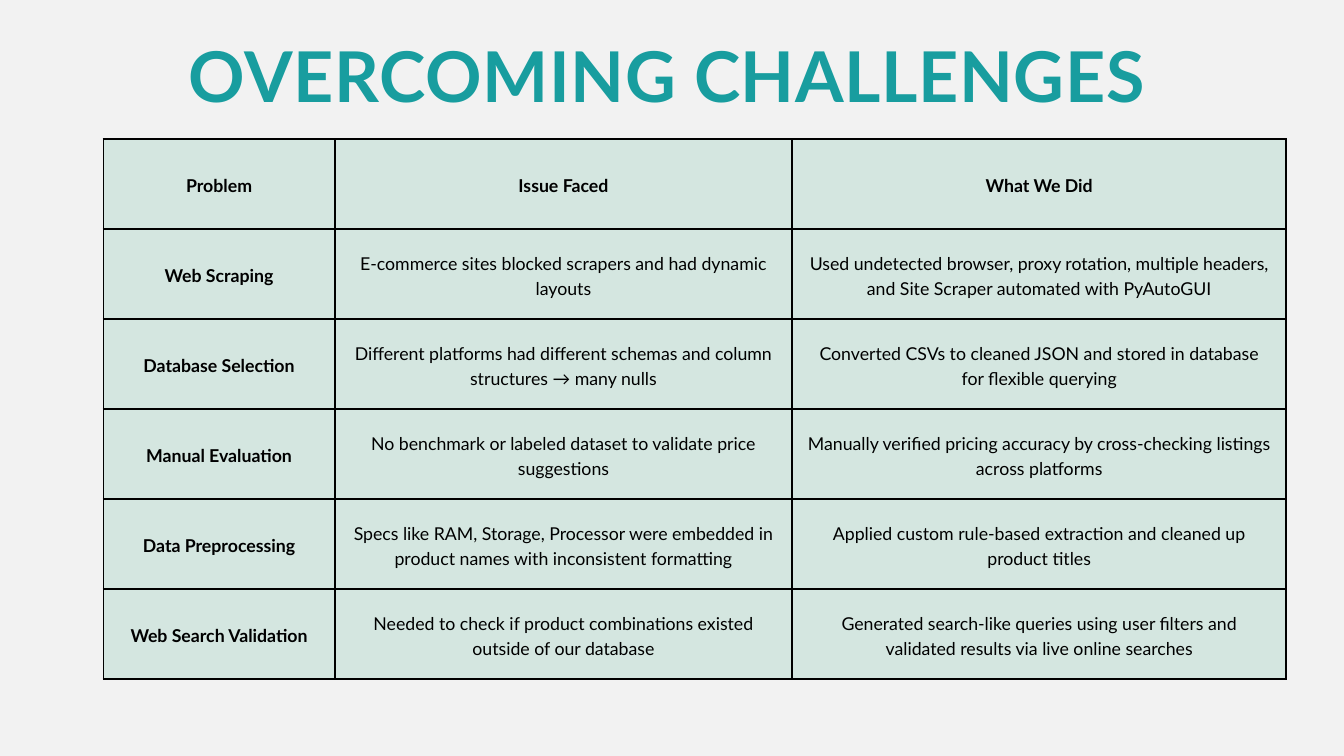
"""Build the "Overcoming Challenges" slide: a title above a table of problems."""
from dataclasses import dataclass

from lxml import etree
from pptx import Presentation
from pptx import util as u
from pptx.dml.color import RGBColor
from pptx.enum import text
from pptx.oxml import ns

TITLE = "OVERCOMING CHALLENGES"
HEADER = ("Problem", "Issue Faced", "What We Did")
CHALLENGES = [
    ("Web Scraping",
     "E-commerce sites blocked scrapers and had dynamic layouts",
     "Used undetected browser, proxy rotation, multiple headers, "
     "and Site Scraper automated with PyAutoGUI"),
    ("Database Selection",
     "Different platforms had different schemas and column structures → many nulls",
     "Converted CSVs to cleaned JSON and stored in database for flexible querying"),
    ("Manual Evaluation",
     "No benchmark or labeled dataset to validate price suggestions",
     "Manually verified pricing accuracy by cross-checking listings across platforms"),
    ("Data Preprocessing",
     "Specs like RAM, Storage, Processor were embedded in product names "
     "with inconsistent formatting",
     "Applied custom rule-based extraction and cleaned up product titles"),
    ("Web Search Validation",
     "Needed to check if product combinations existed outside of our database",
     "Generated search-like queries using user filters and validated results "
     "via live online searches"),
]

SLIDE_SIZE = (20, 11.25)
TITLE_BOX = (2.81, 0.56, 14.38, 1.19)
TABLE_ORIGIN = (1.54, 2.07)
COLUMNS = (3.44, 6.81, 7.35)
ROW_HEIGHT = 1.34
CELL_INSET = 0.21


@dataclass(frozen=True)
class Theme:
    font: str = "Lato"
    background: str = "F2F2F2"
    accent: str = "189D9F"
    cell: str = "D4E6E0"
    ink: str = "000000"
    title_size: float = 75
    title_leading: float = 84.7
    body_size: float = 19
    body_leading: float = 26.6
    border: float = 2.25


THEME = Theme()


def paint(fill, color):
    fill.solid()
    fill.fore_color.rgb = RGBColor.from_string(color)


def write(tf, content, *, size=THEME.body_size, leading=THEME.body_leading,
          color=THEME.ink, bold=False, align=text.PP_ALIGN.CENTER, tracking=0):
    p = tf.paragraphs[0]
    p.alignment = align
    p.line_spacing = u.Pt(leading)
    r = p.add_run()
    r.text = content
    r.font.name = THEME.font
    r.font.size = u.Pt(size)
    r.font.bold = bold
    r.font.color.rgb = RGBColor.from_string(color)
    if tracking:
        r.font._element.set("spc", str(round(tracking * 100)))


def set_insets(box, inset):
    box.margin_left = box.margin_top = box.margin_right = box.margin_bottom = u.Inches(inset)


def add_borders(cell):
    tc_pr = cell._tc.get_or_add_tcPr()
    for side in ("lnL", "lnR", "lnT", "lnB"):
        ln = etree.SubElement(tc_pr, ns.qn(f"a:{side}"), w=str(u.Pt(THEME.border)))
        solid = etree.SubElement(ln, ns.qn("a:solidFill"))
        etree.SubElement(solid, ns.qn("a:srgbClr"), val=THEME.ink)


def add_title(s):
    sp = s.shapes.title
    sp.left, sp.top, sp.width, sp.height = map(u.Inches, TITLE_BOX)
    tf = sp.text_frame
    set_insets(tf, 0)
    tf.word_wrap = True
    tf.auto_size = text.MSO_AUTO_SIZE.SHAPE_TO_FIT_TEXT
    tf.vertical_anchor = text.MSO_ANCHOR.TOP
    write(tf, TITLE, size=THEME.title_size, leading=THEME.title_leading,
          color=THEME.accent, bold=True, align=text.PP_ALIGN.LEFT, tracking=0.7)


def add_challenges(s):
    rows = [HEADER, *CHALLENGES]
    size = (sum(COLUMNS), ROW_HEIGHT * len(rows))
    table = s.shapes.add_table(len(rows), len(COLUMNS),
                               *map(u.Inches, TABLE_ORIGIN + size)).table
    for column, width in zip(table.columns, COLUMNS):
        column.width = u.Inches(width)
    for i, row in enumerate(rows):
        table.rows[i].height = u.Inches(ROW_HEIGHT)
        for j, content in enumerate(row):
            cell = table.cell(i, j)
            set_insets(cell, CELL_INSET)
            cell.vertical_anchor = text.MSO_ANCHOR.MIDDLE
            add_borders(cell)
            paint(cell.fill, THEME.cell)
            write(cell.text_frame, content, bold=i == 0 or j == 0)


def main():
    prs = Presentation()
    prs.slide_width, prs.slide_height = map(u.Inches, SLIDE_SIZE)
    s = prs.slides.add_slide(prs.slide_layouts.get_by_name("Title Only"))
    paint(s.background.fill, THEME.background)
    add_title(s)
    add_challenges(s)
    prs.save("out.pptx")


if __name__ == "__main__":
    main()
